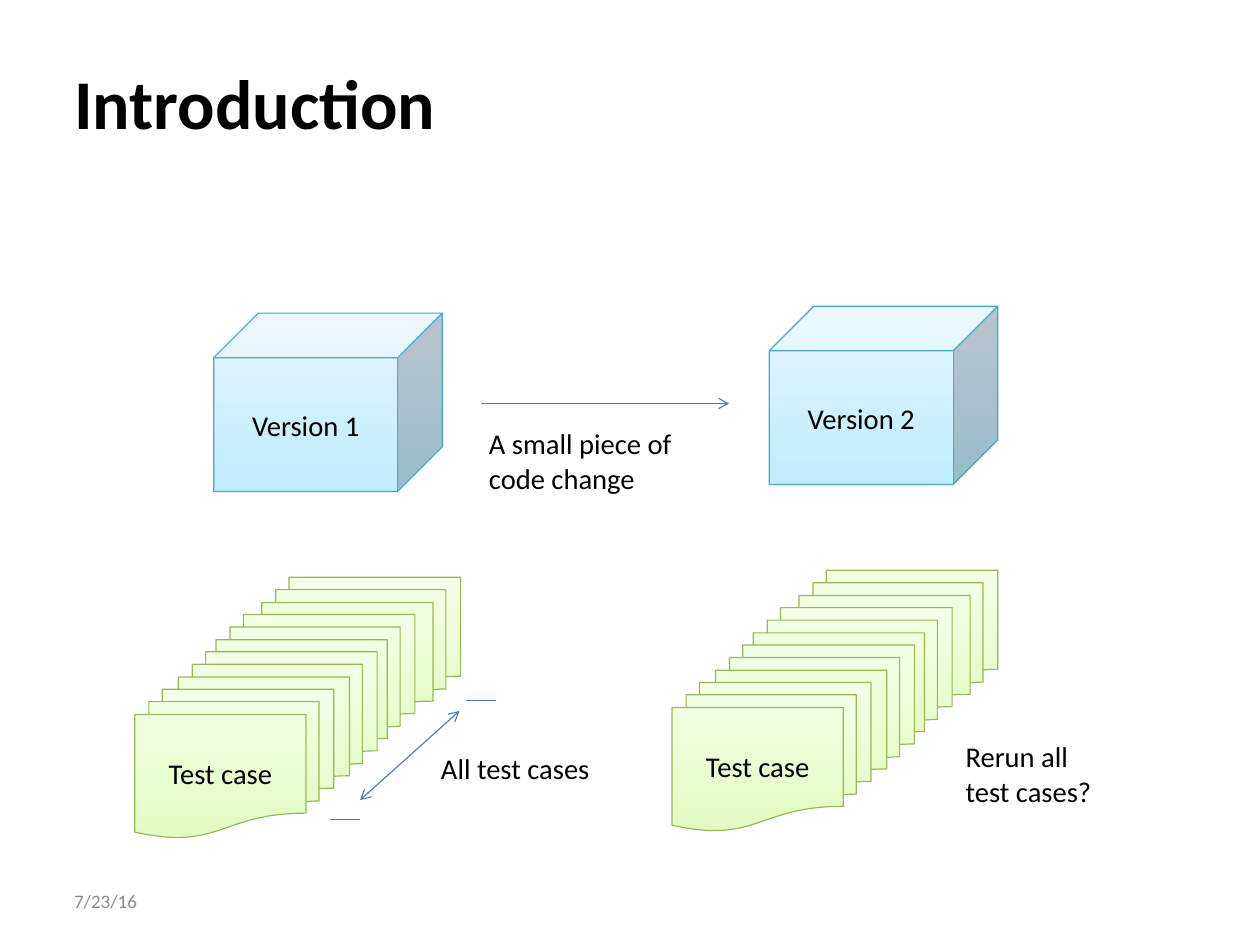
from pptx import Presentation
from pptx.dml.color import RGBColor
from pptx.enum.shapes import MSO_CONNECTOR, MSO_SHAPE
from pptx.enum.text import MSO_ANCHOR, PP_ALIGN
from pptx.oxml.ns import qn
from pptx.util import Inches, Pt
from lxml import etree

STRAIGHT = MSO_CONNECTOR.STRAIGHT
CUBE = MSO_SHAPE.CUBE
DOCUMENTS = MSO_SHAPE.FLOWCHART_MULTIDOCUMENT
TOP, MIDDLE = MSO_ANCHOR.TOP, MSO_ANCHOR.MIDDLE
LEFT, CENTER = PP_ALIGN.LEFT, PP_ALIGN.CENTER

FONT = "Calibri"
BLACK = RGBColor(0x00, 0x00, 0x00)
GRAY = RGBColor(0x8B, 0x8B, 0x8B)
ARROW_BLUE = RGBColor(0x4A, 0x7E, 0xBB)
CUBE_LINE = RGBColor(0x46, 0xAA, 0xC4)
CUBE_FILL = (RGBColor(0xBF, 0xEC, 0xFF), RGBColor(0xE6, 0xF7, 0xFF))
CASE_LINE = RGBColor(0x98, 0xB8, 0x55)
CASE_FILL = (RGBColor(0xE3, 0xFB, 0xC2), RGBColor(0xF4, 0xFF, 0xE6))

CM_PER_INCH = 2.54
PAGE_WIDTH = Inches(28 / CM_PER_INCH)
PAGE_HEIGHT = Inches(21 / CM_PER_INCH)
LINE_WIDTH = Pt(0.75)
CASE_SIZE = (1.74, 1.3)
CASE_SHIFTS = (1.11, 0.71, 0.38, 0)
STACK_RISE = 0.98


def write(shape, text, size=18, color=BLACK, align=LEFT, anchor=TOP, bold=False):
    """Fill a shape with text in one format."""
    frame = shape.text_frame
    frame.text = text
    frame.word_wrap = True
    frame.vertical_anchor = anchor
    for para in frame.paragraphs:
        para.alignment = align
        for span in para.runs:
            span.font.name = FONT
            span.font.size = Pt(size)
            span.font.bold = bold
            span.font.color.rgb = color


def add_label(slide, box, text, **style):
    """Add a text box at the given box."""
    label = slide.shapes.add_textbox(*map(Inches, box))
    write(label, text, **style)


def add_block(slide, kind, box, colors, line_color, text=""):
    """Add a preset shape shaded from bottom to top."""
    block = slide.shapes.add_shape(kind, *map(Inches, box))
    block.shadow.inherit = False
    block.fill.gradient()
    block.fill.gradient_angle = 90
    for stop, color in zip(block.fill.gradient_stops, colors):
        stop.color.rgb = color
    block.line.color.rgb = line_color
    block.line.width = LINE_WIDTH
    if text:
        write(block, text, align=CENTER, anchor=MIDDLE)


def add_line(slide, start, end, arrows=()):
    """Add a thin line with open arrowheads at the named ends."""
    line = slide.shapes.add_connector(STRAIGHT, *map(Inches, start + end))
    line.line.color.rgb = ARROW_BLUE
    line.line.width = LINE_WIDTH
    properties = line._element.spPr
    for arrow in arrows:
        etree.SubElement(properties.find(qn("a:ln")), qn(arrow), type="arrow")
    etree.SubElement(properties, qn("a:effectLst"))


def add_title(slide, box):
    """Place the slide title."""
    title = slide.shapes.title
    title.left, title.top, title.width, title.height = map(Inches, box)
    write(title, "Introduction", size=44, anchor=MIDDLE, bold=True)


def add_versions(slide, box):
    """Draw the two versions and the change that leads from one to the other."""
    left, top, width, height = box
    cube_width, cube_height = 2, 1.56
    first = (left, top + 0.06, cube_width, cube_height)
    second = (left + width - cube_width, top, cube_width, cube_height)
    for number, place in enumerate((first, second), start=1):
        add_block(slide, CUBE, place, CUBE_FILL, CUBE_LINE, f"Version {number}")
    arrow_top = top + height / 2
    add_line(slide, (left + 2.34, arrow_top), (left + 4.51, arrow_top), ("a:tailEnd",))
    add_label(slide, (left + 2.31, top + 1, 2.27, 0.7), "A small piece of\ncode change")


def add_case_stack(slide, box):
    """Stack test case documents from the upper right to the lower left."""
    left, top = box[:2]
    last = len(CASE_SHIFTS) - 1
    for index, shift in enumerate(CASE_SHIFTS):
        place = (left + shift, top + STACK_RISE * index / last, *CASE_SIZE)
        text = "Test case" if index == last else ""
        add_block(slide, DOCUMENTS, place, CASE_FILL, CASE_LINE, text)


def add_all_cases(slide, box):
    """Draw the full stack with its measured depth."""
    left, top = box[:2]
    add_case_stack(slide, box)
    for x, y in ((2.9, 1.08), (1.71, 2.12)):
        add_line(slide, (left + x, top + y), (left + x + 0.26, top + y))
    add_line(slide, (left + 1.97, top + 1.95), (left + 2.84, top + 1.17),
             ("a:headEnd", "a:tailEnd"))
    add_label(slide, (left + 2.58, top + 1.47, 1.85, 0.4), "All test cases")


def add_rerun_cases(slide, box):
    """Draw the stack that may be run again."""
    left, top = box[:2]
    add_case_stack(slide, box)
    add_label(slide, (left + 2.47, top + 1.43, 1.74, 0.7), "Rerun all\ntest cases?")


def main():
    """Build and save the deck."""
    deck = Presentation()
    deck.slide_width, deck.slide_height = PAGE_WIDTH, PAGE_HEIGHT
    slide = deck.slides.add_slide(deck.slide_layouts[5])
    add_title(slide, (0.55, 0.33, 9.92, 1.11))
    add_versions(slide, (1.87, 2.68, 6.86, 1.7))
    add_all_cases(slide, (1.18, 5.05, 4.43, 2.28))
    add_rerun_cases(slide, (5.88, 4.99, 4.21, 2.28))
    add_label(slide, (0.55, 7.66, 2.57, 0.44), "7/23/16",
              size=12, color=GRAY, anchor=MIDDLE)
    deck.save("out.pptx")


if __name__ == "__main__":
    main()
